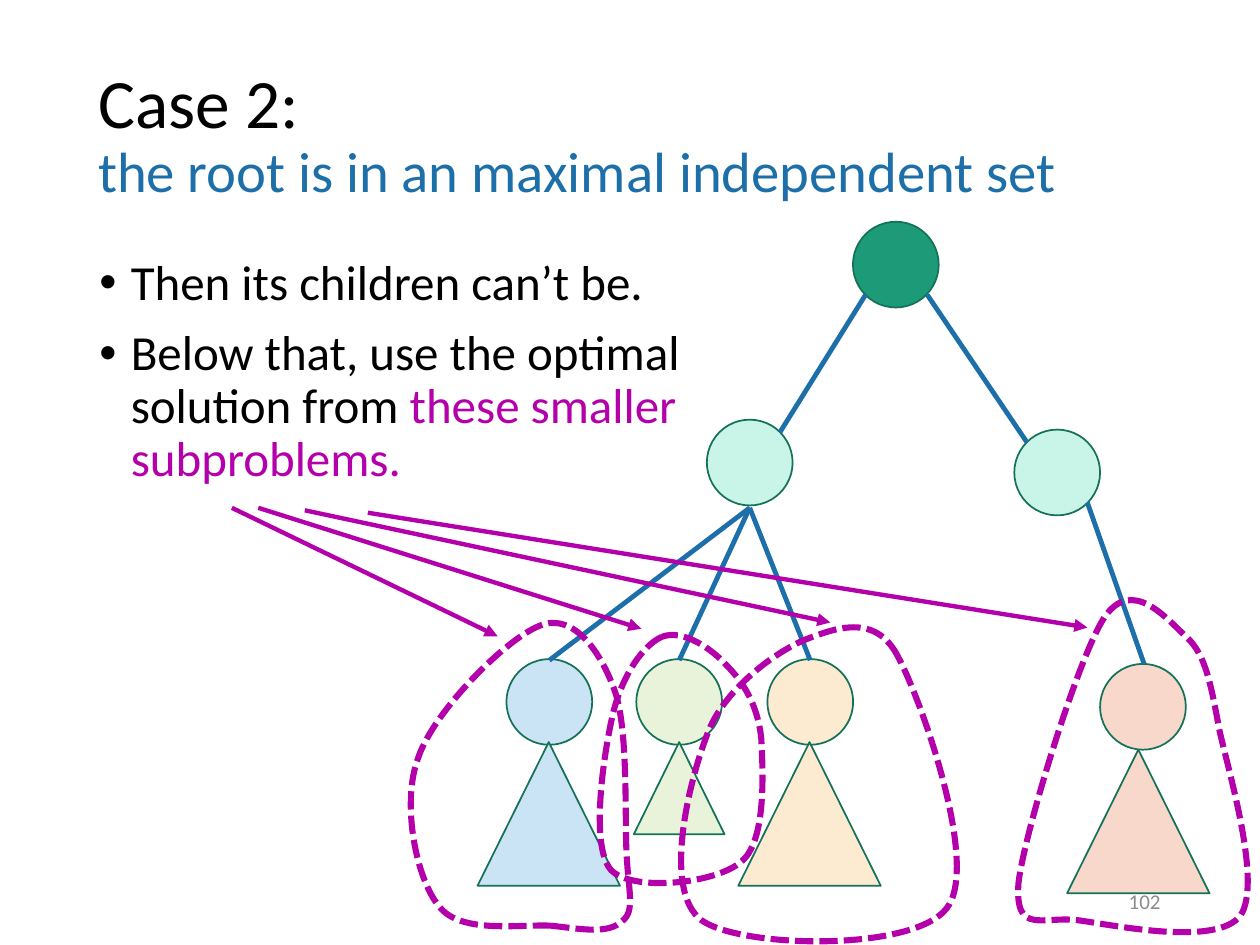
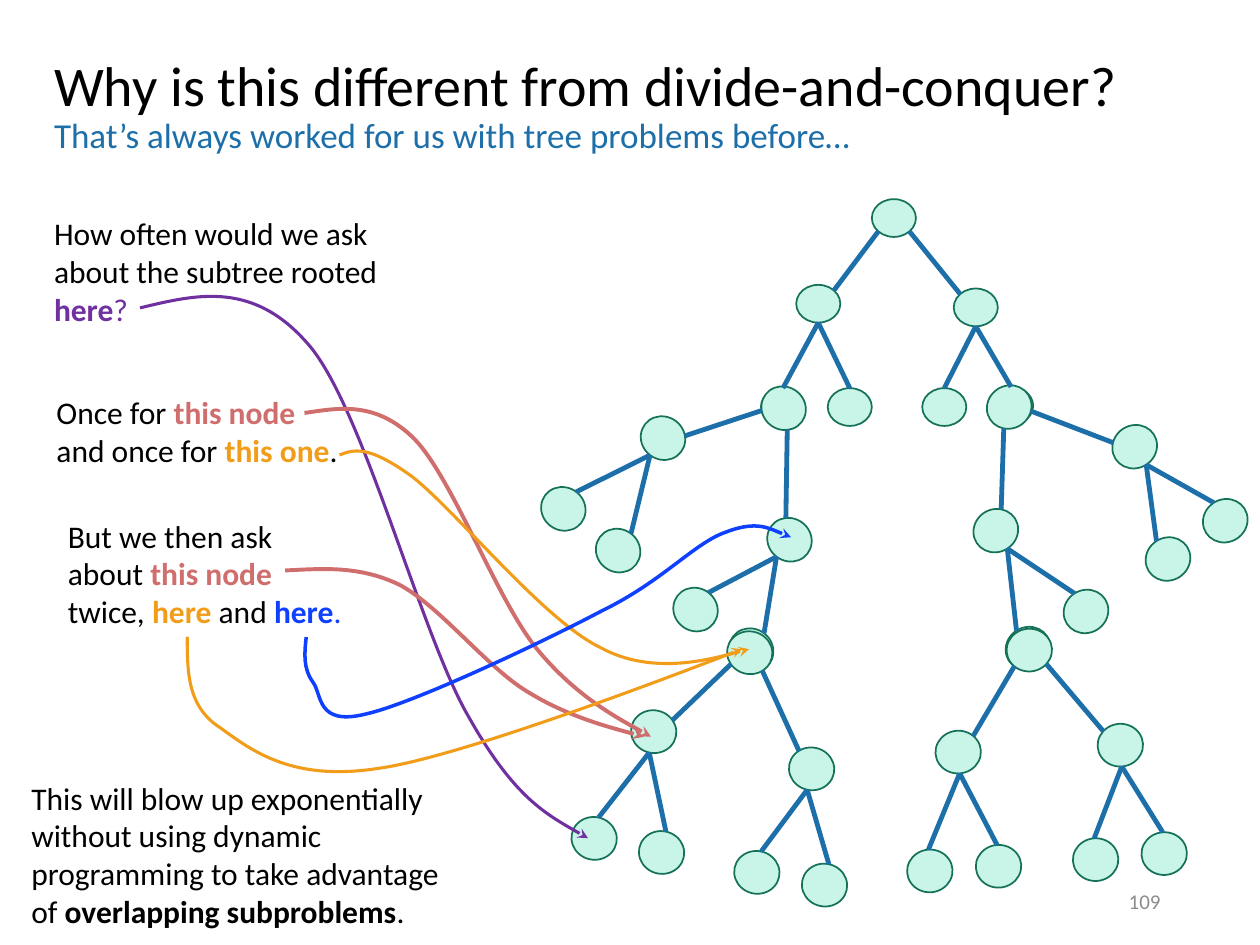
from math import cos, radians, sin, sqrt

from pptx import Presentation
from pptx.dml.color import RGBColor
from pptx.enum.dml import MSO_LINE
from pptx.enum.shapes import MSO_CONNECTOR, MSO_SHAPE
from pptx.enum.text import MSO_ANCHOR, PP_ALIGN
from pptx.oxml.ns import qn
from pptx.oxml.xmlchemy import OxmlElement
from pptx.util import Pt

OVAL, TRIANGLE = MSO_SHAPE.OVAL, MSO_SHAPE.ISOSCELES_TRIANGLE
STRAIGHT = MSO_CONNECTOR.STRAIGHT
SHORT_DASH = MSO_LINE.SQUARE_DOT
TOP, MIDDLE = MSO_ANCHOR.TOP, MSO_ANCHOR.MIDDLE
LEFT, RIGHT = PP_ALIGN.LEFT, PP_ALIGN.RIGHT

FONT = "Calibri"
BLACK, GREY, BLUE = "000000", "8C8C8C", "1D6FA9"
OUTLINE, MINT, GREEN = "157259", "C8F5E8", "1D9A78"
MAGENTA, PURPLE, ROSE = "B400AB", "7030A0", "CF6E6C"
ORANGE, BRIGHT_BLUE = "F19D19", "0F40FF"
EDGE_WIDTH = 2.75

color = RGBColor.from_string


def style_line(shape, hex_color, width, dash=None, tail=None):
    """Set the outline and, last in its XML, the arrowhead."""
    shape.line.color.rgb = color(hex_color)
    shape.line.width = Pt(width)
    if dash:
        shape.line.dash_style = dash
    if tail:
        arrowhead = OxmlElement("a:tailEnd")
        arrowhead.set("type", tail)
        shape.line._get_or_add_ln().append(arrowhead)


def add_text(page, area, paragraphs, anchor=TOP, bullets=False, **layout):
    """Paragraphs are lists of spans (text, size, colour, bold); a final newline breaks the line."""
    box = page.shapes.add_textbox(*map(Pt, area))
    frame = box.text_frame
    frame.word_wrap = True
    frame.vertical_anchor = anchor
    for number, spans in enumerate(paragraphs):
        para = frame.add_paragraph() if number else frame.paragraphs[0]
        if bullets:
            properties = para._p.get_or_add_pPr()
            properties.set("marL", str(Pt(18)))
            properties.set("indent", str(Pt(-18)))
            for tag, key, value in (("a:buFont", "typeface", "Arial"), ("a:buChar", "char", "•")):
                bullet = OxmlElement(tag)
                bullet.set(key, value)
                properties.append(bullet)
            if number:
                para.space_before = Pt(10)
        for key, value in layout.items():
            setattr(para, key, value)
        for text, size, hex_color, bold in spans:
            span = para.add_run()
            span.text = text.rstrip("\n")
            for key, value in {"name": FONT, "size": Pt(size), "bold": bold}.items():
                setattr(span.font, key, value)
            span.font.color.rgb = color(hex_color)
            if text.endswith("\n"):
                para.add_line_break()


# Case 2: a coloured root, its two children, and four subtrees below them.
CIRCLE = 49
case_shapes = [
    (OVAL, 487.4, 126.7, CIRCLE, CIRCLE, 0, GREEN),
    (OVAL, 579.6, 245.5, CIRCLE, CIRCLE, 0, MINT),
    (OVAL, 403.9, 239.8, CIRCLE, CIRCLE, 0, MINT),
]
subtrees = [  # fill, circle left and top, triangle left, top, width and height
    ("FCEBD1", 438.5, 376.6, 421.9, 424.1, 81.4, 82.1),
    ("E8F3DA", 363.6, 376.6, 362.2, 424.1, 51.8, 52.6),
    ("CAE4F6", 289.4, 376.6, 272.9, 424.1, 81.4, 82.1),
    ("F8D8CA", 628.6, 379.4, 609.8, 428.4, 81.4, 82.1),
]
for fill, left, top, *triangle in subtrees:
    case_shapes.append((OVAL, left, top, CIRCLE, CIRCLE, 0, fill))
    case_shapes.append((TRIANGLE, *triangle, 0, fill))

case_edges = [
    (586.8, 252.7, 529.9, 168.5),
    (445.7, 247, 494.6, 168.5),
    *((x, 377.3, 428.4, 290.2) for x in (463, 388.1, 313.9)),
    (621.4, 287.3, 653.8, 379.4),
]
subproblem_arrows = [
    (132.5, 290.2, 284.4, 363.6),
    (147.6, 290.2, 366.5, 359.3),
    (174.2, 291.6, 474.5, 355.7),
    (210.2, 293, 621.4, 358.6),
]
case_lines = [(ends, BLUE, EDGE_WIDTH, None) for ends in case_edges]
case_lines += [(ends, MAGENTA, 2.5, "triangle") for ends in subproblem_arrows]

# Curves hold a start point and then three points for every Bezier segment.
subproblem_loops = [
    [(315, 529), (333, 531), (348, 534), (356, 526), (363, 520), (359, 509), (358, 487),
     (357, 464), (359, 415), (351, 394), (343, 372), (328, 351), (310, 357),
     (291, 363), (248, 406), (239, 433), (229, 459), (238, 503), (251, 518),
     (263, 534), (298, 528), (315, 529)],
    [(378, 364), (367, 369), (355, 387), (350, 409), (345, 431), (337, 483), (349, 497),
     (361, 510), (410, 505), (424, 492), (438, 480), (436, 441), (435, 422),
     (433, 403), (425, 390), (415, 380), (407, 371), (390, 359), (378, 364)],
    [(513, 375), (500, 350), (477, 359), (459, 366), (441, 374), (413, 395), (404, 420),
     (394, 446), (378, 509), (401, 526), (424, 542), (522, 544), (541, 519),
     (560, 495), (527, 401), (513, 375)],
    [(631, 353), (616, 376), (585, 477), (582, 505), (580, 535), (596, 523), (617, 526),
     (638, 529), (696, 541), (709, 523), (721, 505), (703, 444), (697, 418),
     (692, 391), (689, 374), (678, 364), (667, 354), (647, 329), (631, 353)],
]
case_curves = [(points, MAGENTA, 3.5, SHORT_DASH, None) for points in subproblem_loops]

case_texts = [
    dict(area=(49, 38.9, 620.6, 78.5), anchor=MIDDLE, line_spacing=0.9, paragraphs=[[
        ("Case 2: \n", 39.6, BLACK, False),
        ("the root is in an maximal independent set", 32.4, BLUE, False)]]),
    dict(area=(49.7, 144, 371.5, 342.7), bullets=True, line_spacing=0.9, paragraphs=[
        [("Then its children can’t be.", 28, BLACK, False)],
        [("Below that, use the optimal solution from ", 28, BLACK, False),
         ("these smaller subproblems.", 28, MAGENTA, False)]]),
]

# Divide-and-conquer: one seven-node tree, placed five times with its own scale and rotation.
NODE_WIDTH, NODE_HEIGHT = 25.2, 21.6
NODE_OFFSETS = [(0, 0), (46.8, 51.1), (-43.2, 49), (-25.2, 108), (-63.4, 108), (67, 107.3), (28.8, 108)]
DIAGONAL = 1 / sqrt(8)
# parent, child, and on which side of the parent the edge leaves (0 is the bottom)
TREE_EDGES = [(0, 1, 1), (0, 2, -1), (2, 3, 0), (2, 4, 0), (1, 5, 0), (1, 6, 0)]
placements = [  # root centre, horizontal and vertical scale, rotation
    (510.8, 124.6, 1, 1, 0),
    (447.8, 233.3, 1.03, 1.13, 37.3),
    (576.7, 232.6, 1.03, 1.13, -32.6),
    (588.2, 371.5, 1.03, 1.13, -3.9),
    (428.4, 373, 1.03, 1.13, 11.8),
]
tree_shapes, tree_lines = [], []
for root_x, root_y, scale_x, scale_y, angle in placements:
    cosine, sine = cos(radians(angle)), sin(radians(angle))
    width, height = NODE_WIDTH * scale_x, NODE_HEIGHT * scale_y
    for x, y in NODE_OFFSETS:
        x, y = x * scale_x, y * scale_y
        center_x = root_x + x * cosine - y * sine
        center_y = root_y + x * sine + y * cosine
        tree_shapes.append((OVAL, center_x - width / 2, center_y - height / 2,
                            width, height, angle, MINT))
    for parent, child, side in TREE_EDGES:
        reach = DIAGONAL if side else 0.5
        ends = []
        for node, direction in ((child, -1), (parent, 1)):
            x = (NODE_OFFSETS[node][0] + direction * side * reach * NODE_WIDTH) * scale_x
            y = (NODE_OFFSETS[node][1] + direction * reach * NODE_HEIGHT) * scale_y
            ends += [root_x + x * cosine - y * sine, root_y + x * sine + y * cosine]
        tree_lines.append((ends, BLUE, EDGE_WIDTH, None))

pointers = [
    (PURPLE, 1.75, [(80, 176), (113, 168), (146, 160), (178, 199), (209, 238), (241, 364),
                    (268, 410), (294, 456), (315, 467), (336, 479)]),
    (ROSE, 2.25, [(174, 236), (194, 233), (215, 229), (237, 251), (259, 274), (284, 343),
                  (307, 371), (330, 399), (372, 421), (372, 421)]),
    (ORANGE, 1.75, [(194, 260), (202, 257), (210, 254), (235, 272), (260, 291), (310, 354),
                    (343, 370), (374, 387), (428, 371), (428, 371)]),
    (ROSE, 2.25, [(163, 326), (184, 325), (205, 323), (228, 334), (251, 346), (278, 381),
                  (301, 395), (325, 410), (368, 421), (368, 421)]),
    (ORANGE, 1.75, [(107, 364), (107, 384), (107, 404), (126, 416), (144, 429), (167, 447),
                    (217, 439), (266, 432), (424, 371), (424, 371)]),
    (BRIGHT_BLUE, 2, [(175, 364), (174, 373), (173, 382), (179, 390), (184, 397), (181, 415),
                      (209, 408), (236, 402), (310, 367), (344, 349), (379, 332), (397, 310),
                      (415, 304), (433, 297), (452, 307), (452, 307)]),
]
tree_curves = [(points, stroke, width, None, "stealth") for stroke, width, points in pointers]

tree_texts = [
    dict(area=(23.8, 20.2, 686.2, 82.1), anchor=MIDDLE, line_spacing=0.9, paragraphs=[[
        ("Why is this different from divide-and-conquer?\n", 32, BLACK, False),
        ("That’s always worked for us with tree problems before…", 20, BLUE, False)]]),
    dict(area=(23.8, 118.8, 218.2, 72.7), paragraphs=[[
        ("How often would we ask about the subtree rooted ", 18, BLACK, False),
        ("here", 18, PURPLE, True), ("?", 18, PURPLE, False)]]),
    dict(area=(25.2, 221, 182.2, 51.1), paragraphs=[[
        ("Once for ", 18, BLACK, False), ("this node ", 18, ROSE, True),
        ("and once for ", 18, BLACK, False), ("this one", 18, ORANGE, True),
        (".", 18, BLACK, False)]]),
    dict(area=(31.7, 291.6, 175, 72.7), paragraphs=[[
        ("But we then ask about ", 18, BLACK, False), ("this node ", 18, ROSE, True),
        ("twice, ", 18, BLACK, False), ("here", 18, ORANGE, True), (" and ", 18, BLACK, False),
        ("here", 18, BRIGHT_BLUE, True), (".", 18, BRIGHT_BLUE, False)]]),
    dict(area=(10.8, 441.4, 265.7, 94.3), paragraphs=[[
        ("This will blow up exponentially without using dynamic programming "
         "to take advantage of ", 18, BLACK, False),
        ("overlapping subproblems", 18, BLACK, True), (".", 18, BLACK, False)]]),
]

deck = Presentation()
deck.slide_width, deck.slide_height = Pt(720), Pt(540)
contents = [
    ("102", case_texts, case_shapes, case_lines, case_curves),
    ("109", tree_texts, tree_shapes, tree_lines, tree_curves),
]
for page_number, texts, shapes, lines, curves in contents:
    page = deck.slides.add_slide(deck.slide_layouts[6])
    for text in texts:
        add_text(page, **text)

    for kind, left, top, width, height, angle, fill in shapes:
        shape = page.shapes.add_shape(kind, Pt(left), Pt(top), Pt(width), Pt(height))
        shape.rotation = angle
        shape.shadow.inherit = False
        shape.fill.solid()
        shape.fill.fore_color.rgb = color(fill)
        style_line(shape, OUTLINE, 1)

    for ends, stroke, width, tail in lines:
        connector = page.shapes.add_connector(STRAIGHT, *map(Pt, ends))
        style_line(connector, stroke, width, tail=tail)
        connector.element.spPr.append(OxmlElement("a:effectLst"))

    for points, stroke, width, dash, tail in curves:
        builder = page.shapes.build_freeform(*points[0], scale=Pt(1))
        builder.add_line_segments(points[1:], close=points[0] == points[-1])
        curve = builder.convert_to_shape()
        steps = list(curve.element.iter(qn("a:lnTo")))
        for first in range(0, len(steps), 3):
            bezier = OxmlElement("a:cubicBezTo")
            steps[first].addprevious(bezier)
            for step in steps[first:first + 3]:
                bezier.append(step[0])
                step.getparent().remove(step)
        curve.shadow.inherit = False
        curve.fill.background()
        style_line(curve, stroke, width, dash, tail)

    add_text(page, (508.3, 500.4, 162, 28.8), [[(page_number, 12, GREY, False)]],
             anchor=MIDDLE, alignment=RIGHT)

deck.save("out.pptx")
